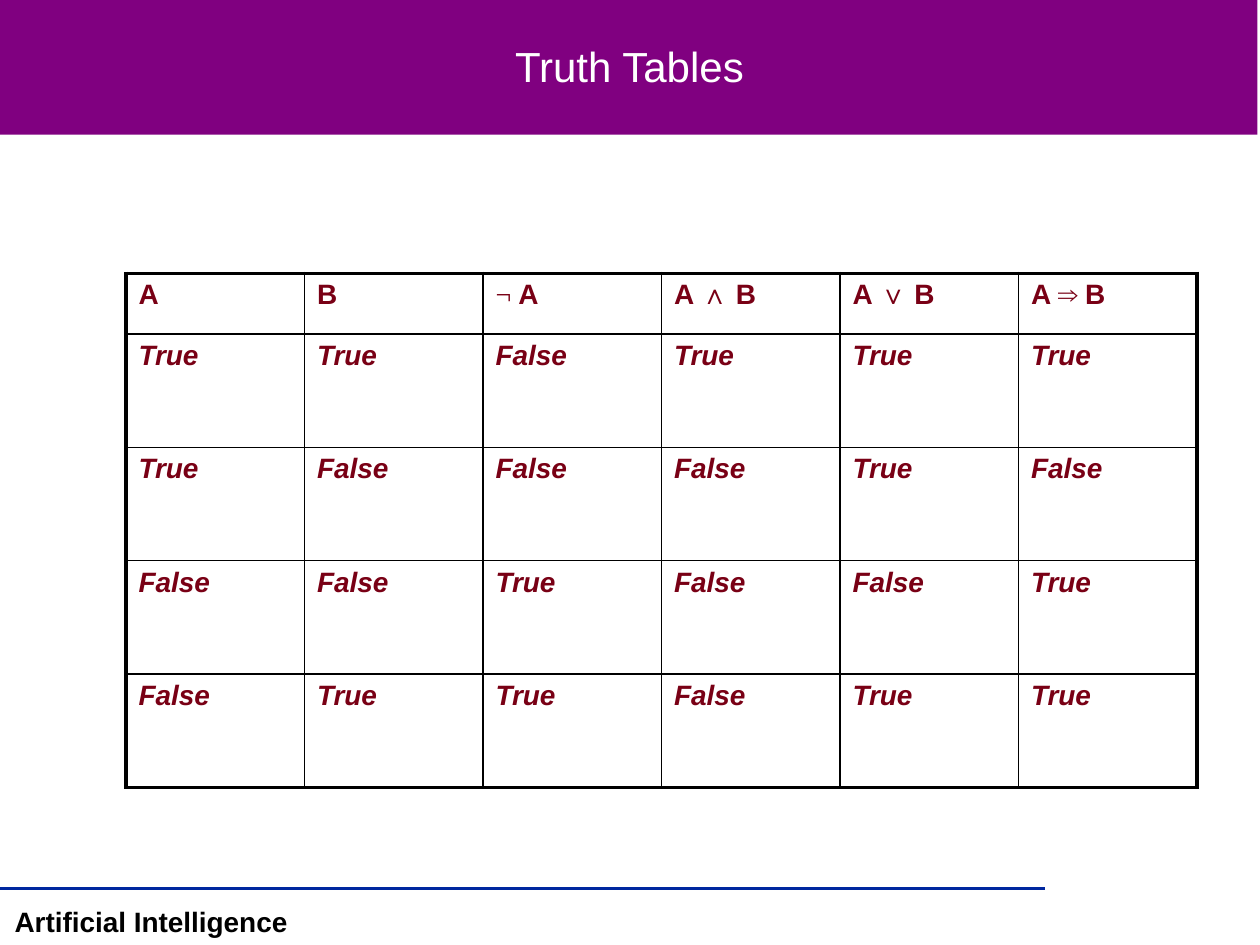
"""Build the truth tables slide."""
import lxml.etree
import pptx
import pptx.dml.color
import pptx.enum.shapes
import pptx.enum.text
import pptx.oxml.ns
import pptx.util

TITLE = "Truth Tables"
FOOTER = "Artificial Intelligence"
HEADINGS = ["A", "B", "¬ A", "A ∧ B", "A ∨ B", "A ⇒ B"]
TRUTHS = [
    [True, True, False, True, True, True],
    [True, False, False, False, True, False],
    [False, False, True, False, False, True],
    [False, True, True, False, True, True],
]
SYMBOLS = "¬∧∨⇒"
PURPLE, BLUE, MAROON, BLACK, WHITE = "800080", "00279F", "790015", "000000", "FFFFFF"
WIDTH, HEIGHT = 10, 7.5
GRID_LEFT, GRID_TOP, GRID_WIDTH = 1, 2.17, 8.5
HEADING_HEIGHT, ROW_HEIGHT = 0.48, 0.9
OUTER, INNER = 2.25, 1

inches = pptx.util.Inches
qn = pptx.oxml.ns.qn


def color(value):
    return pptx.dml.color.RGBColor.from_string(value)


def set_font(font, size, value, bold=False, italic=False):
    font.name, font.size = "Arial", pptx.util.Pt(size)
    font.bold, font.italic = bold, italic
    font.color.rgb = color(value)


def add_label(slide, box, text, size, value, bold=False, wrap=True):
    label = slide.shapes.add_textbox(*map(inches, box))
    frame = label.text_frame
    frame.word_wrap = wrap
    frame.vertical_anchor = pptx.enum.text.MSO_ANCHOR.MIDDLE
    if not wrap:
        frame.auto_size = pptx.enum.text.MSO_AUTO_SIZE.SHAPE_TO_FIT_TEXT
    paragraph = frame.paragraphs[0]
    paragraph.text = text
    paragraph.alignment = pptx.enum.text.PP_ALIGN.CENTER
    set_font(paragraph.font, size, value, bold)


def add_frame(slide):
    banner = slide.shapes.add_shape(
        pptx.enum.shapes.MSO_SHAPE.RECTANGLE, 0, 0, inches(9.98), inches(1.07))
    banner.shadow.inherit = False
    banner.fill.solid()
    banner.fill.fore_color.rgb = color(PURPLE)
    banner.line.fill.background()
    rule_y = inches(0.94 * HEIGHT)
    rule = slide.shapes.add_connector(
        pptx.enum.shapes.MSO_CONNECTOR.STRAIGHT, 0, rule_y, inches(8.29), rule_y)
    rule.line.color.rgb = color(BLUE)
    rule.line.width = pptx.util.Pt(2)
    lxml.etree.SubElement(rule._element.spPr, qn("a:effectLst"))
    add_label(slide, (0, 7.13, 2.4, 0.37), FOOTER, 16, BLACK, bold=True, wrap=False)
    add_label(slide, (0.02, 0.01, 9.95, 1.02), TITLE, 24, WHITE)


def set_borders(cell, outer_sides):
    properties = cell._tc.get_or_add_tcPr()
    for side in "LRTB":
        width = OUTER if side in outer_sides else INNER
        border = lxml.etree.SubElement(
            properties, qn(f"a:ln{side}"), w=str(pptx.util.Pt(width)))
        fill = lxml.etree.SubElement(border, qn("a:solidFill"))
        lxml.etree.SubElement(fill, qn("a:srgbClr"), val=BLACK)


def write_cell(cell, text, italic):
    paragraph = cell.text_frame.paragraphs[0]
    words = text.split()
    for index, word in enumerate(words):
        run = paragraph.add_run()
        run.text = word if index == len(words) - 1 else word + " "
        if word in SYMBOLS:
            run.font.name, run.font.bold = "Times New Roman", False
    set_font(paragraph.font, 16, MAROON, bold=True, italic=italic)


def add_truth_table(slide):
    rows = [HEADINGS] + [[str(truth) for truth in row] for row in TRUTHS]
    heights = [HEADING_HEIGHT] + [ROW_HEIGHT] * len(TRUTHS)
    last_row, last_column = len(rows) - 1, len(HEADINGS) - 1
    table = slide.shapes.add_table(
        len(rows), len(HEADINGS), inches(GRID_LEFT), inches(GRID_TOP),
        inches(GRID_WIDTH), inches(sum(heights))).table
    table.first_row = table.horz_banding = False
    for column in table.columns:
        column.width = inches(GRID_WIDTH / len(HEADINGS))
    for r, (row, height) in enumerate(zip(rows, heights)):
        table.rows[r].height = inches(height)
        for c, text in enumerate(row):
            cell = table.cell(r, c)
            edges = {"L": c == 0, "R": c == last_column, "T": r == 0, "B": r == last_row}
            set_borders(cell, [side for side, outer in edges.items() if outer])
            cell.fill.background()
            write_cell(cell, text, italic=r > 0)


def main():
    deck = pptx.Presentation()
    deck.slide_width, deck.slide_height = inches(WIDTH), inches(HEIGHT)
    slide = deck.slides.add_slide(deck.slide_layouts[6])
    add_frame(slide)
    add_truth_table(slide)
    deck.save("out.pptx")


if __name__ == "__main__":
    main()
